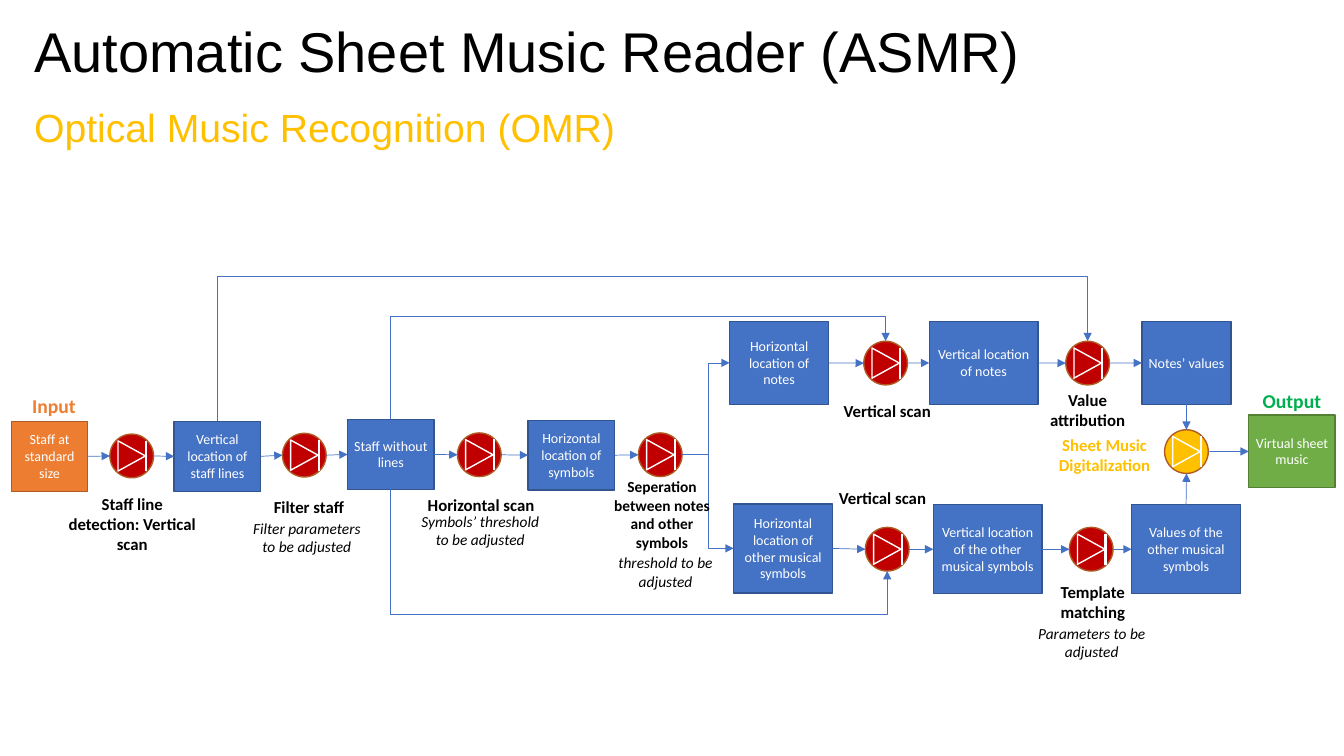
from typing import NamedTuple

from lxml import etree
from pptx import Presentation
from pptx.dml.color import RGBColor
from pptx.enum.shapes import MSO_CONNECTOR, MSO_SHAPE
from pptx.enum.text import MSO_ANCHOR, MSO_AUTO_SIZE, PP_ALIGN
from pptx.oxml.ns import qn
from pptx.shapes.autoshape import Shape
from pptx.shapes.connector import Connector
from pptx.slide import Slide
from pptx.text.text import TextFrame
from pptx.util import Cm, Pt

STRAIGHT, ELBOW = MSO_CONNECTOR.STRAIGHT, MSO_CONNECTOR.ELBOW
RECTANGLE, OVAL = MSO_SHAPE.RECTANGLE, MSO_SHAPE.OVAL
TRIANGLE = MSO_SHAPE.ISOSCELES_TRIANGLE
LEFT, CENTER = PP_ALIGN.LEFT, PP_ALIGN.CENTER
TOP, MIDDLE, BOTTOM = MSO_ANCHOR.TOP, MSO_ANCHOR.MIDDLE, MSO_ANCHOR.BOTTOM
NO_FIT, GROW = MSO_AUTO_SIZE.NONE, MSO_AUTO_SIZE.SHAPE_TO_FIT_TEXT

N_SIDE, W_SIDE, S_SIDE, E_SIDE = range(4)
BLUE, DARK_BLUE = "4472C4", "325491"
ORANGE, BROWN = "ED7D31", "AF5C24"
GREEN, DARK_GREEN = "70AD47", "538035"
RED, GOLD, WHITE, BLACK = "C00000", "FFC000", "FFFFFF", "000000"
GATE_SIZE = 1.1


class Box(NamedTuple):
    key: str
    text: str
    x: float
    y: float
    w: float
    h: float
    fill: str = BLUE
    outline: str = DARK_BLUE


class Gate(NamedTuple):
    key: str
    x: float
    y: float
    fill: str = RED


class Caption(NamedTuple):
    text: str
    x: float
    y: float
    w: float
    h: float
    size: float = 12
    color: str = BLACK
    italic: bool = False
    align: PP_ALIGN = CENTER


BOXES = [
    Box("input", "Staff at standard size", 0.29, 10.62, 1.92, 1.76, ORANGE, BROWN),
    Box("staff lines", "Vertical location of staff lines", 4.39, 10.62, 2.18, 1.76),
    Box("no lines", "Staff without lines", 8.76, 10.57, 2.18, 1.76),
    Box("symbols", "Horizontal location of symbols", 13.31, 10.59, 2.18, 1.76),
    Box("notes", "Horizontal location of notes", 18.39, 8.1, 2.49, 2.09),
    Box("others", "Horizontal location of other musical symbols", 18.49, 12.7, 2.49, 2.24),
    Box("note heights", "Vertical location of notes", 23.42, 8.1, 2.74, 2.09),
    Box("other heights", "Vertical location of the other musical symbols", 23.52, 12.72, 2.74, 2.24),
    Box("note values", "Notes’ values", 28.78, 8.1, 2.24, 2.09),
    Box("other values", "Values of the other musical symbols", 28.52, 12.72, 2.74, 2.24),
    Box("output", "Virtual sheet music", 31.47, 10.46, 2.18, 1.83, GREEN, DARK_GREEN),
]
GATES = [
    Gate("detect", 3.32, 11.49),
    Gate("filter", 7.67, 11.47),
    Gate("scan", 12.08, 11.46),
    Gate("separate", 16.64, 11.46),
    Gate("scan notes", 22.32, 9.15),
    Gate("scan others", 22.36, 13.84),
    Gate("attribute", 27.41, 9.15),
    Gate("match", 27.5, 13.84),
    Gate("digitalize", 29.9, 11.38, GOLD),
]
ROWS = [
    ["input", "detect", "staff lines", "filter", "no lines", "scan", "symbols", "separate"],
    ["notes", "scan notes", "note heights", "attribute", "note values"],
    ["others", "scan others", "other heights", "match", "other values"],
    ["digitalize", "output"],
]
CAPTIONS = [
    Caption("Input", 0.56, 9.8, 1.65, 0.86, 14, ORANGE, align=LEFT),
    Caption("Output", 31.57, 9.68, 2.18, 0.86, 14, "00B050", align=LEFT),
    Caption("Staff line detection: Vertical scan", 1.47, 12.32, 3.73, 1.8),
    Caption("Filter staff", 5.92, 12.4, 3.73, 0.76),
    Caption("Horizontal scan", 10.26, 12.34, 3.73, 0.76),
    Caption("Seperation between notes and other symbols", 15.21, 11.91, 2.95, 2.13, 11),
    Caption("Filter parameters to be adjusted", 6.07, 12.95, 3.33, 1.19, 11, italic=True),
    Caption("Symbols’ threshold to be adjusted", 10.24, 12.78, 3.73, 1.19, 11, italic=True),
    Caption("Vertical scan", 20.52, 9.98, 3.68, 0.76),
    Caption("Vertical scan", 20.4, 12.17, 3.68, 0.76),
    Caption("Template matching", 25.7, 14.53, 3.68, 1.27),
    Caption("Parameters to be adjusted", 25.65, 15.6, 3.73, 1.19, 11, italic=True),
    Caption("threshold to be adjusted", 14.91, 13.82, 3.73, 1.19, 11, italic=True),
    Caption("Value attribution", 25.81, 9.7, 3.2, 1.27),
    Caption("Sheet Music Digitalization", 25.91, 10.82, 3.86, 1.27, color=GOLD),
]


def rgb(color: str) -> RGBColor:
    return RGBColor.from_string(color)


def write(frame: TextFrame, text: str, size: float, color: str, font: str = "Calibri",
          align: PP_ALIGN = CENTER, anchor: MSO_ANCHOR = MIDDLE,
          bold: bool = False, italic: bool = False) -> None:
    frame.word_wrap = True
    frame.vertical_anchor = anchor
    frame.text = text
    paragraph = frame.paragraphs[0]
    paragraph.alignment = align
    style = paragraph.font
    style.name, style.size, style.color.rgb = font, Pt(size), rgb(color)
    style.bold, style.italic = bold, italic


def paint(shape: Shape, fill: str, outline: str) -> None:
    shape.shadow.inherit = False
    shape.fill.solid()
    shape.fill.fore_color.rgb = rgb(fill)
    shape.line.color.rgb = rgb(outline)
    shape.line.width = Pt(1)


def finish_line(line: Connector, color: str, width: float, arrow: bool) -> None:
    line.line.color.rgb = rgb(color)
    line.line.width = Pt(width)
    properties = line._element.spPr
    if arrow:
        etree.SubElement(properties.find(qn("a:ln")), qn("a:tailEnd"), type="triangle")
    etree.SubElement(properties, qn("a:effectLst"))


def draw_box(slide: Slide, box: Box) -> Shape:
    shape = slide.shapes.add_shape(RECTANGLE, Cm(box.x), Cm(box.y), Cm(box.w), Cm(box.h))
    paint(shape, box.fill, box.outline)
    frame = shape.text_frame
    frame.margin_left = frame.margin_right = frame.margin_top = Cm(0.1)
    frame.margin_bottom = Cm(0.12)
    write(frame, box.text, 10, WHITE)
    return shape


def draw_gate(slide: Slide, gate: Gate) -> Shape:
    """Draw a grouped diode symbol and return its circle."""
    parts = slide.shapes.add_group_shape().shapes

    def centred(kind: MSO_SHAPE, w: float, h: float, outline: str) -> Shape:
        part = parts.add_shape(kind, Cm(gate.x - w / 2), Cm(gate.y - h / 2), Cm(w), Cm(h))
        paint(part, gate.fill, outline)
        return part

    circle = centred(OVAL, GATE_SIZE, GATE_SIZE, BROWN)
    centred(TRIANGLE, 0.76, 0.69, WHITE).rotation = 90
    bar_x = Cm(gate.x + 0.36)
    bar = parts.add_connector(STRAIGHT, bar_x, Cm(gate.y - 0.39), bar_x, Cm(gate.y + 0.39))
    finish_line(bar, WHITE, 1.5, arrow=False)
    return circle


def side_middle(node: Shape, side: int) -> tuple[int, int]:
    across, down = [(0.5, 0), (0, 0.5), (0.5, 1), (1, 0.5)][side]
    return int(node.left + across * node.width), int(node.top + down * node.height)


def link(slide: Slide, start: Shape, start_side: int, end: Shape, end_side: int) -> None:
    line = slide.shapes.add_connector(
        STRAIGHT, *side_middle(start, start_side), *side_middle(end, end_side))
    if start.auto_shape_type == RECTANGLE:
        line.begin_connect(start, start_side)
    if end.auto_shape_type == RECTANGLE:
        line.end_connect(end, end_side)
    finish_line(line, BLUE, 0.5, arrow=True)


def set_bend(line: Connector, share: float) -> None:
    guides = line._element.spPr.find(qn("a:prstGeom")).find(qn("a:avLst"))
    etree.SubElement(guides, qn("a:gd"), name="adj1", fmla=f"val {round(share * 100000)}")


def branch(slide: Slide, start: Shape, end: Shape, bend_x: int) -> None:
    x1, y1 = side_middle(start, E_SIDE)
    x2, y2 = side_middle(end, W_SIDE)
    line = slide.shapes.add_connector(ELBOW, x1, y1, x2, y2)
    set_bend(line, (bend_x - x1) / (x2 - x1))
    finish_line(line, BLUE, 0.5, arrow=True)


def detour(slide: Slide, start: Shape, end: Shape, side: int, level: int) -> None:
    """Lead vertically to a level, then right, then back to the same side of the end."""
    x1, y1 = side_middle(start, side)
    x2, y2 = side_middle(end, side)
    half_w, half_h = abs(y2 - y1) // 2, (x2 - x1) // 2
    mid_x, mid_y = (x1 + x2) // 2, (y1 + y2) // 2
    rise = half_h if side == N_SIDE else -half_h
    line = slide.shapes.add_connector(
        ELBOW, mid_x + half_w, mid_y + rise, mid_x - half_w, mid_y - rise)
    turn = 90 if side == N_SIDE else 270
    line._element.spPr.find(qn("a:xfrm")).set("rot", str(turn * 60000))
    set_bend(line, (level - y1) / (y2 - y1))
    finish_line(line, BLUE, 0.5, arrow=True)


def add_headings(slide: Slide) -> None:
    title = slide.shapes.title
    title.left, title.top, title.width, title.height = Cm(0.61), Cm(0.76), Cm(35.66), Cm(1.5)
    subtitle = slide.shapes.add_textbox(Cm(0.61), Cm(2.51), Cm(20.12), Cm(1.5))
    for heading, text, size, color, anchor in (
            (title, "Automatic Sheet Music Reader (ASMR)", 40, BLACK, BOTTOM),
            (subtitle, "Optical Music Recognition (OMR)", 28, GOLD, MIDDLE)):
        write(heading.text_frame, text, size, color, "Arial", LEFT, anchor)
        heading.text_frame.auto_size = NO_FIT
        heading.text_frame.paragraphs[0].line_spacing = 0.9


def main() -> None:
    deck = Presentation()
    deck.slide_width, deck.slide_height = Cm(33.87), Cm(19.05)
    slide = deck.slides.add_slide(deck.slide_layouts[5])
    add_headings(slide)
    nodes = {box.key: draw_box(slide, box) for box in BOXES}
    nodes |= {gate.key: draw_gate(slide, gate) for gate in GATES}
    for row in ROWS:
        for start, end in zip(row, row[1:]):
            link(slide, nodes[start], E_SIDE, nodes[end], W_SIDE)
    link(slide, nodes["note values"], S_SIDE, nodes["digitalize"], N_SIDE)
    link(slide, nodes["other values"], N_SIDE, nodes["digitalize"], S_SIDE)
    for target in ("notes", "others"):
        branch(slide, nodes["separate"], nodes[target], Cm(17.84))
    detour(slide, nodes["staff lines"], nodes["attribute"], N_SIDE, Cm(6.96))
    detour(slide, nodes["no lines"], nodes["scan notes"], N_SIDE, Cm(7.98))
    detour(slide, nodes["no lines"], nodes["scan others"], S_SIDE, Cm(15.49))
    for note in CAPTIONS:
        label = slide.shapes.add_textbox(Cm(note.x), Cm(note.y), Cm(note.w), Cm(note.h))
        write(label.text_frame, note.text, note.size, note.color, align=note.align,
              anchor=TOP, bold=not note.italic, italic=note.italic)
        label.text_frame.auto_size = GROW
    deck.save("out.pptx")


if __name__ == "__main__":
    main()
